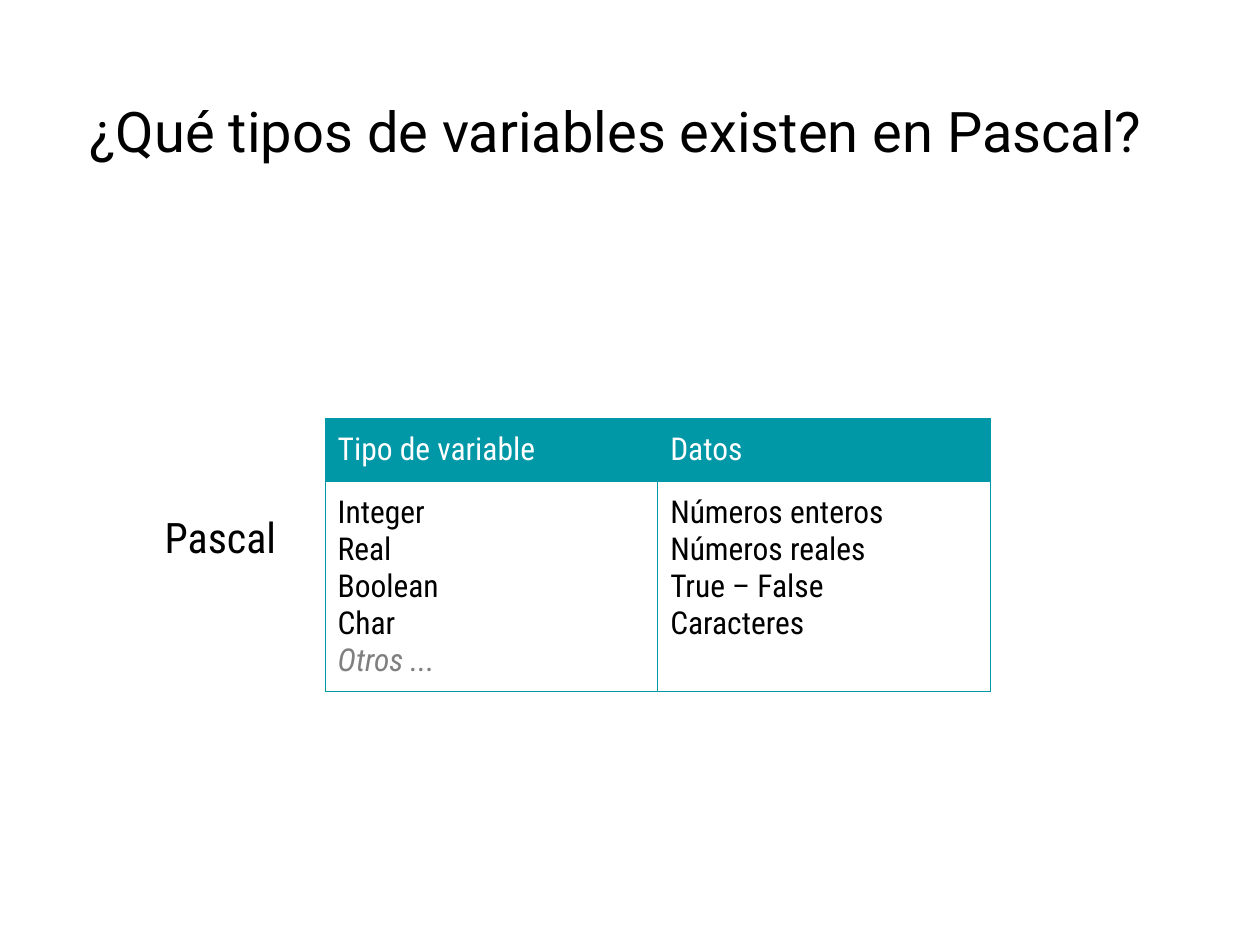
from dataclasses import dataclass
from lxml import etree
from pptx import Presentation
from pptx import util as u
from pptx.dml.color import RGBColor
from pptx.enum import text
from pptx.oxml import ns

TEAL = RGBColor(0x00, 0x97, 0xA7)
WHITE = RGBColor(0xFF, 0xFF, 0xFF)
BLACK = RGBColor(0x00, 0x00, 0x00)
GRAY = RGBColor(0x7F, 0x7F, 0x7F)
WIDE, HIGH = u.Inches(10), u.Inches(7.5)
PAD = u.Inches(0.1)
SIDES = ("left", "right", "top", "bottom")


@dataclass
class Line:
    words: str
    color: RGBColor = BLACK
    size: float = 18
    face: str = "Roboto Condensed"
    italic: bool = False


@dataclass
class Box:
    left: float
    top: float
    width: float
    height: float

    def frame(self) -> dict:
        return {
            "left": int(WIDE * self.left),
            "top": int(HIGH * self.top),
            "width": int(WIDE * self.width),
            "height": int(HIGH * self.height),
        }


TITLE = Box(0.061, 0.097, 0.905, 0.11)
TABLE = Box(0.258, 0.443, 0.528, 0.293)
LABEL = Box(0.119, 0.528, 0.11, 0.061)
ROWS = (0.5, 1.66)
CELLS = [
    [[Line("Tipo de variable", WHITE)], [Line("Datos", WHITE)]],
    [
        [Line(word) for word in ("Integer", "Real", "Boolean", "Char")]
        + [Line("Otros ...", GRAY, italic=True)],
        [Line(word) for word in
         ("Números enteros", "Números reales", "True – False", "Caracteres")],
    ],
]


def put(item, vals: dict) -> None:
    for name, val in vals.items():
        setattr(item, name, val)


def write(frame, lines: list[Line], form: dict) -> None:
    for i, line in enumerate(lines):
        para = frame.add_paragraph() if i else frame.paragraphs[0]
        put(para, form)
        run = para.add_run()
        run.text = line.words
        put(run.font, {"name": line.face, "size": u.Pt(line.size),
                       "italic": line.italic, "bold": False})
        run.font.color.rgb = line.color


def set_box(frame, lines: list[Line], form: dict) -> None:
    put(frame, {f"margin_{side}": PAD for side in SIDES})
    put(frame, {"word_wrap": True, "auto_size": text.MSO_AUTO_SIZE.NONE,
                "vertical_anchor": text.MSO_ANCHOR.TOP})
    write(frame, lines, form)


def edge(cell) -> None:
    props = cell._tc.get_or_add_tcPr()
    for side in "LRTB":
        line = etree.SubElement(props, ns.qn(f"a:ln{side}"), w=str(u.Pt(0.75)))
        fill = etree.SubElement(line, ns.qn("a:solidFill"))
        etree.SubElement(fill, ns.qn("a:srgbClr"), val=str(TEAL))


def draw_table(slide) -> None:
    grid = slide.shapes.add_table(len(CELLS), len(CELLS[0]), **TABLE.frame()).table
    put(grid, {"first_row": False, "horz_banding": False})
    for r, row in enumerate(CELLS):
        grid.rows[r].height = u.Inches(ROWS[r])
        for c, lines in enumerate(row):
            cell = grid.cell(r, c)
            put(cell, {f"margin_{side}": PAD for side in SIDES})
            edge(cell)
            if r == 0:
                cell.fill.solid()
                cell.fill.fore_color.rgb = TEAL
            else:
                cell.fill.background()
            write(cell.text_frame, lines, {})


def main() -> None:
    deck = Presentation()
    put(deck, {"slide_width": WIDE, "slide_height": HIGH})
    slide = deck.slides.add_slide(deck.slide_layouts[5])
    title = slide.shapes.title
    put(title, TITLE.frame())
    set_box(title.text_frame,
            [Line("¿Qué tipos de variables existen en Pascal?", size=32, face="Roboto")],
            {"alignment": text.PP_ALIGN.LEFT, "line_spacing": 0.9})
    draw_table(slide)
    label = slide.shapes.add_textbox(**LABEL.frame())
    set_box(label.text_frame, [Line("Pascal", size=24)],
            {"alignment": text.PP_ALIGN.RIGHT})
    deck.save("out.pptx")


if __name__ == "__main__":
    main()
